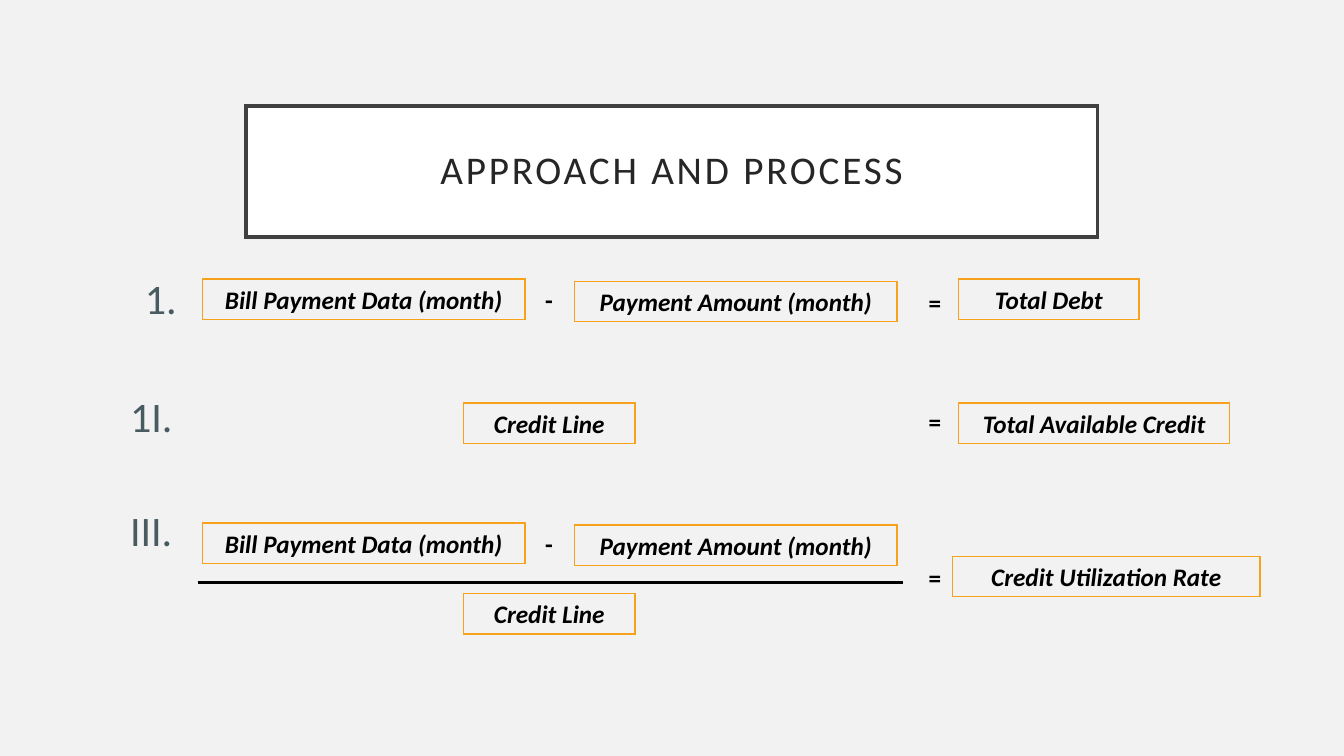
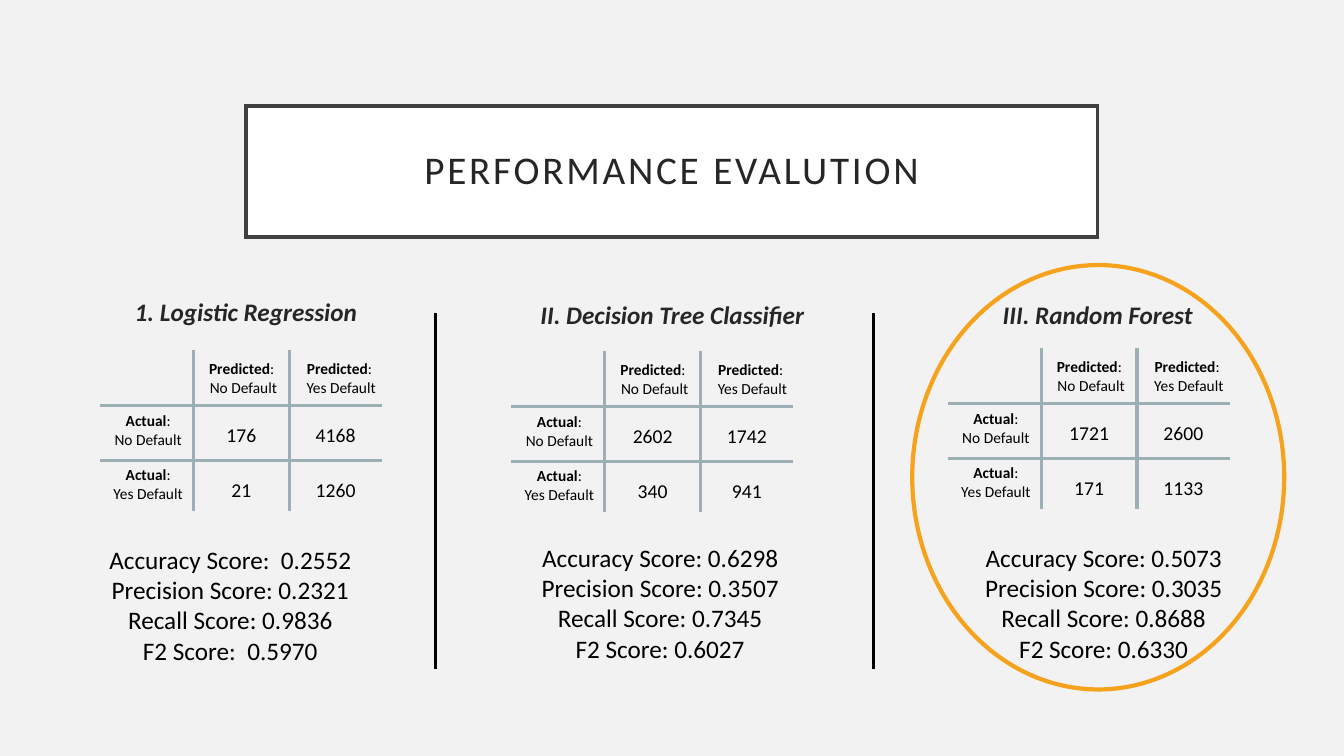
"""Build two slides on credit utilization formulas and classifier performance."""
from dataclasses import dataclass

from lxml import etree
from pptx import Presentation
from pptx.dml.color import RGBColor
from pptx.enum.shapes import MSO_CONNECTOR, MSO_SHAPE
from pptx.enum.text import MSO_ANCHOR, MSO_AUTO_SIZE, PP_ALIGN
from pptx.oxml.ns import qn
from pptx.util import Emu, Pt

RECT, OVAL = MSO_SHAPE.RECTANGLE, MSO_SHAPE.OVAL
STRAIGHT = MSO_CONNECTOR.STRAIGHT
TOP, MIDDLE = MSO_ANCHOR.TOP, MSO_ANCHOR.MIDDLE
CENTER = PP_ALIGN.CENTER
NO_AUTOFIT = MSO_AUTO_SIZE.NONE
TITLE_ONLY, COMPARISON = 5, 4
NO_TABLE_STYLE = "{2D5ABB26-0587-4C30-8999-92F81FD0307C}"
EMU_PER_PX = 9144


@dataclass(frozen=True)
class Theme:
    font: str = "Calibri"
    background: str = "F2F2F2"
    white: str = "FFFFFF"
    frame: str = "404040"
    heading: str = "262626"
    text: str = "000000"
    accent: str = "F6A21D"
    numeral: str = "475B61"
    grid: str = "9BAFB5"
    title_size: int = 28
    numeral_size: int = 30
    body_size: int = 18
    value_size: int = 14
    label_size: int = 11
    rule_width: float = 2.25


T = Theme()


def px(n):
    return Emu(n * EMU_PER_PX)


def rgb(color):
    return RGBColor.from_string(color)


def place(sp, x, y, w, h):
    sp.left, sp.top, sp.width, sp.height = px(x), px(y), px(w), px(h)


def write(tf, lines, size=T.body_size, color=T.text, bold=False, italic=False,
          spacing=0, line_spacing=1.0):
    """Fill a text frame; a (lead, rest) line sets its lead in bold."""
    for i, line in enumerate(lines):
        p = tf.paragraphs[0] if i == 0 else tf.add_paragraph()
        p.alignment = CENTER
        p.space_before = Pt(0)
        p.line_spacing = line_spacing
        runs = [(line, bold)] if isinstance(line, str) else [(line[0], True), (line[1], False)]
        for text, is_bold in runs:
            r = p.add_run()
            r.text = text
            r.font.name, r.font.size = T.font, Pt(size)
            r.font.color.rgb = rgb(color)
            r.font.bold, r.font.italic = is_bold, italic
            if spacing:
                r.font._element.set("spc", str(spacing))


def set_frame(tf, wrap=True, anchor=TOP):
    tf.auto_size = NO_AUTOFIT
    tf.word_wrap = wrap
    tf.vertical_anchor = anchor


def set_outline(sp, color, width):
    sp.line.color.rgb = rgb(color)
    sp.line.width = Pt(width)
    etree.SubElement(sp.line._get_or_add_ln(), qn("a:miter"), lim="800000")


def add_text(slide, lines, x, y, w, h, wrap=False, **fmt):
    sp = slide.shapes.add_textbox(px(x), px(y), px(w), px(h))
    set_frame(sp.text_frame, wrap)
    write(sp.text_frame, lines, **fmt)


def add_outline(slide, kind, x, y, w, h, width):
    sp = slide.shapes.add_shape(kind, px(x), px(y), px(w), px(h))
    sp.shadow.inherit = False
    sp.fill.background()
    set_outline(sp, T.accent, width)
    return sp


def add_term(slide, text, x, y, w):
    sp = add_outline(slide, RECT, x, y, w, 40, 1)
    set_frame(sp.text_frame)
    write(sp.text_frame, [text], bold=True, italic=True)


def add_rule(slide, x1, y1, x2, y2, color=T.text):
    line = slide.shapes.add_connector(STRAIGHT, px(x1), px(y1), px(x2), px(y2))
    line.line.color.rgb = rgb(color)
    line.line.width = Pt(T.rule_width)
    etree.SubElement(line._element.spPr, qn("a:effectLst"))


def add_slide(prs, layout, title):
    slide = prs.slides.add_slide(prs.slide_layouts[layout])
    sp = slide.shapes.title
    place(sp, 244, 105, 845, 130)
    sp.fill.solid()
    sp.fill.fore_color.rgb = rgb(T.white)
    set_outline(sp, T.frame, 2.5)
    tf = sp.text_frame
    set_frame(tf, anchor=MIDDLE)
    tf.margin_left = tf.margin_right = tf.margin_top = tf.margin_bottom = px(20)
    write(tf, [title], T.title_size, T.heading, spacing=200, line_spacing=0.9)
    return slide


def add_matrix(slide, x, y, counts):
    """Add a confusion matrix as a plain table with inner rules."""
    widths, heights = (93, 95, 92), (55, 55, 50)
    width, height = sum(widths), sum(heights)
    table = slide.shapes.add_table(3, 3, px(x), px(y), px(width), px(height)).table
    table.first_row = table.horz_banding = False
    table._tbl.tblPr.find(qn("a:tableStyleId")).text = NO_TABLE_STYLE
    for i in range(3):
        table.columns[i].width = px(widths[i])
        table.rows[i].height = px(heights[i])
    classes = ("No Default", "Yes Default")
    for row in range(3):
        for col in range(3):
            cell = table.cell(row, col)
            cell.margin_left = cell.margin_right = 0
            cell.margin_top = cell.margin_bottom = 0
            cell.vertical_anchor = MIDDLE
            cell.fill.background()
            if row and col:
                cell.margin_top = px(1 + 4 * row)
                write(cell.text_frame, [str(counts[row - 1][col - 1])], T.value_size)
            elif row:
                cell.margin_left, cell.margin_bottom = px(3), px(7 - 2 * row)
                write(cell.text_frame, [("Actual", ":"), classes[row - 1]], T.label_size)
            elif col:
                cell.margin_left, cell.margin_top = px(7 * col - 3), px(2)
                write(cell.text_frame, [("Predicted", ": "), classes[col - 1]], T.label_size)
    for i in (1, 2):
        rule_x, rule_y = x + sum(widths[:i]), y + sum(heights[:i])
        add_rule(slide, rule_x, y, rule_x, y + height, T.grid)
        add_rule(slide, x, rule_y, x + width, rule_y, T.grid)


def add_difference(slide, y):
    """Add the bill minus payment expression."""
    add_term(slide, "Bill Payment Data (month)", 201, y, 320)
    add_text(slide, ["-"], 530, y, 29, 40, bold=True)
    add_term(slide, "Payment Amount (month)", 570, y + 2, 320)


def build_process(prs):
    slide = add_slide(prs, TITLE_ONLY, "APPROACH AND PROCESS")
    for text, x, y, w in (("1.", 133, 265, 53), ("1I.", 114, 382, 72), ("III.", 114, 496, 72)):
        add_text(slide, [text], x, y, w, 61, wrap=True, size=T.numeral_size, color=T.numeral)
    for y in (277, 519):
        add_difference(slide, y)
    for y in (400, 589):
        add_term(slide, "Credit Line", 460, y, 170)
    add_rule(slide, 196, 578, 896, 578)
    for text, x, y, w, sign_y in (("Total Debt", 951, 277, 179, 280),
                                  ("Total Available Credit", 951, 400, 269, 398),
                                  ("Credit Utilization Rate", 945, 552, 305, 553)):
        add_text(slide, ["="], 910, sign_y, 35, 40, bold=True)
        add_term(slide, text, x, y, w)


def build_performance(prs):
    slide = add_slide(prs, COMPARISON, "PERFORMANCE EVALUTION")
    title, body, *unused = slide.placeholders
    for sp in unused:
        sp._element.getparent().remove(sp._element)
    heading = dict(color=T.heading, bold=True, italic=True)
    place(body, 78, 289, 332, 44)
    set_frame(body.text_frame)
    write(body.text_frame, ["1. Logistic Regression"], **heading)
    for text, x in (("II. Decision Tree Classifier", 501), ("III. Random Forest", 923)):
        add_text(slide, [text], x, 292, 332, 44, wrap=True, **heading)

    models = (
        (99, 347, ((176, 4168), (21, 1260)), 96, 535, 265,
         (" 0.2552", "0.2321", "0.9836", " 0.5970")),
        (507, 348, ((2602, 1742), (340, 941)), 526, 533, 258,
         ("0.6298", "0.3507", "0.7345", "0.6027")),
        (940, 345, ((1721, 2600), (171, 1133)), 966, 533, 258,
         ("0.5073", "0.3035", "0.8688", "0.6330")),
    )
    metrics = ("Accuracy", "Precision", "Recall", "F2")
    for x, y, counts, score_x, score_y, score_w, scores in models:
        add_matrix(slide, x, y, counts)
        lines = [f"{name} Score: {score}" for name, score in zip(metrics, scores)]
        add_text(slide, lines, score_x, score_y, score_w, 131)
    for x in (432, 867):
        add_rule(slide, x, 311, x, 664)
    add_outline(slide, OVAL, 905, 263, 369, 421, 3)


def main():
    prs = Presentation()
    prs.slide_width, prs.slide_height = px(4000) // 3, px(750)
    fill = prs.slide_master.background.fill
    fill.solid()
    fill.fore_color.rgb = rgb(T.background)
    build_process(prs)
    build_performance(prs)
    prs.save("out.pptx")


if __name__ == "__main__":
    main()
